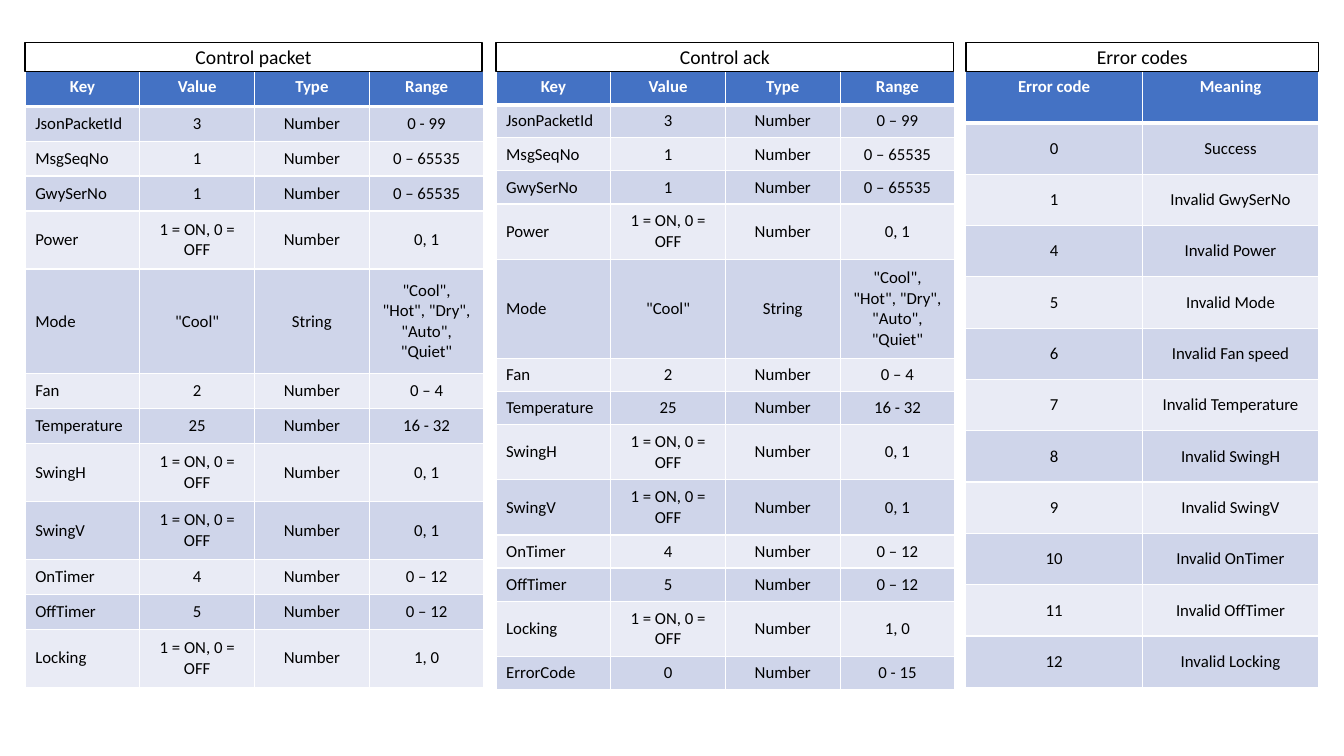
from dataclasses import dataclass

from lxml import etree
from pptx import Presentation
from pptx.dml.color import RGBColor
from pptx.enum import shapes, text
from pptx.oxml import ns
from pptx.util import Inches, Pt

WHITE = RGBColor(0xFF, 0xFF, 0xFF)
BLACK = RGBColor(0x00, 0x00, 0x00)
BLUE = RGBColor(0x44, 0x72, 0xC4)
DARK = RGBColor(0xCF, 0xD5, 0xEA)
LIGHT = RGBColor(0xE9, 0xEB, 0xF5)
FONT = "Calibri"
TOP = 0.42
BAR = 0.29
SWITCH = "1 = ON, 0 = OFF"
MODES = '"Cool", "Hot", "Dry", "Auto", "Quiet"'
LINES = {SWITCH: 2, MODES: 4}


@dataclass
class Panel:
    title: str
    left: float
    width: float
    bar: float
    height: float
    rows: list[tuple[str, ...]]
    keyed: bool = True


def fields(span: str) -> list[tuple[str, ...]]:
    return [
        ("Key", "Value", "Type", "Range"),
        ("JsonPacketId", "3", "Number", span),
        ("MsgSeqNo", "1", "Number", "0 – 65535"),
        ("GwySerNo", "1", "Number", "0 – 65535"),
        ("Power", SWITCH, "Number", "0, 1"),
        ("Mode", '"Cool"', "String", MODES),
        ("Fan", "2", "Number", "0 – 4"),
        ("Temperature", "25", "Number", "16 - 32"),
        ("SwingH", SWITCH, "Number", "0, 1"),
        ("SwingV", SWITCH, "Number", "0, 1"),
        ("OnTimer", "4", "Number", "0 – 12"),
        ("OffTimer", "5", "Number", "0 – 12"),
        ("Locking", SWITCH, "Number", "1, 0"),
    ]


CODES = [
    ("Error code", "Meaning"),
    ("0", "Success"),
    ("1", "Invalid GwySerNo"),
    ("4", "Invalid Power"),
    ("5", "Invalid Mode"),
    ("6", "Invalid Fan speed"),
    ("7", "Invalid Temperature"),
    ("8", "Invalid SwingH"),
    ("9", "Invalid SwingV"),
    ("10", "Invalid OnTimer"),
    ("11", "Invalid OffTimer"),
    ("12", "Invalid Locking"),
]

PANELS = [
    Panel("Control packet", 0.25, 4.55, 4.53, 6.11, fields("0 - 99")),
    Panel("Control ack", 4.92, 4.55, 4.54, 6.13,
          fields("0 – 99") + [("ErrorCode", "0", "Number", "0 - 15")]),
    Panel("Error codes", 9.58, 3.5, 3.5, 6.11, CODES, keyed=False),
]


def style(frame, size: float, color: RGBColor, bold: bool, align) -> None:
    line = frame.paragraphs[0]
    line.alignment = align
    for run in line.runs:
        run.font.name = FONT
        run.font.size = Pt(size)
        run.font.bold = bold
        run.font.color.rgb = color


def rule(cell, width: float) -> None:
    edge = etree.Element(ns.qn("a:lnB"), w=str(Pt(width)))
    fill = etree.SubElement(edge, ns.qn("a:solidFill"))
    etree.SubElement(fill, ns.qn("a:srgbClr"), val=str(WHITE))
    cell._tc.get_or_add_tcPr().insert(0, edge)


def weight(row: tuple[str, ...]) -> int:
    return 1 + 2 * max(LINES.get(word, 1) for word in row)


def draw_grid(slide, panel: Panel) -> None:
    count = len(panel.rows[0])
    table = slide.shapes.add_table(
        len(panel.rows), count, Inches(panel.left), Inches(TOP + BAR),
        Inches(panel.width), Inches(panel.height)).table
    for col in table.columns:
        col.width = Inches(panel.width / count)
    total = sum(weight(row) for row in panel.rows)
    for r, row in enumerate(panel.rows):
        head = r == 0
        table.rows[r].height = Inches(panel.height * weight(row) / total)
        for c, word in enumerate(row):
            cell = table.cell(r, c)
            cell.fill.solid()
            cell.fill.fore_color.rgb = BLUE if head else DARK if r % 2 else LIGHT
            cell.text_frame.text = word
            is_key = panel.keyed and c == 0 and not head
            align = text.PP_ALIGN.LEFT if is_key else text.PP_ALIGN.CENTER
            style(cell.text_frame, 12, WHITE if head else BLACK, head, align)
            if head:
                rule(cell, 3)
            else:
                cell.vertical_anchor = text.MSO_ANCHOR.MIDDLE


def draw_bar(slide, panel: Panel) -> None:
    bar = slide.shapes.add_shape(
        shapes.MSO_SHAPE.RECTANGLE, Inches(panel.left), Inches(TOP),
        Inches(panel.bar), Inches(BAR))
    bar.shadow.inherit = False
    bar.fill.solid()
    bar.fill.fore_color.rgb = WHITE
    bar.line.color.rgb = BLACK
    bar.line.width = Pt(1)
    bar.text_frame.text = panel.title
    bar.text_frame.vertical_anchor = text.MSO_ANCHOR.MIDDLE
    style(bar.text_frame, 14, BLACK, False, text.PP_ALIGN.CENTER)


def main() -> None:
    deck = Presentation()
    deck.slide_width = Inches(13.33)
    deck.slide_height = Inches(7.5)
    slide = deck.slides.add_slide(deck.slide_layouts[6])
    for panel in PANELS:
        draw_grid(slide, panel)
        draw_bar(slide, panel)
    deck.save("out.pptx")


if __name__ == "__main__":
    main()
